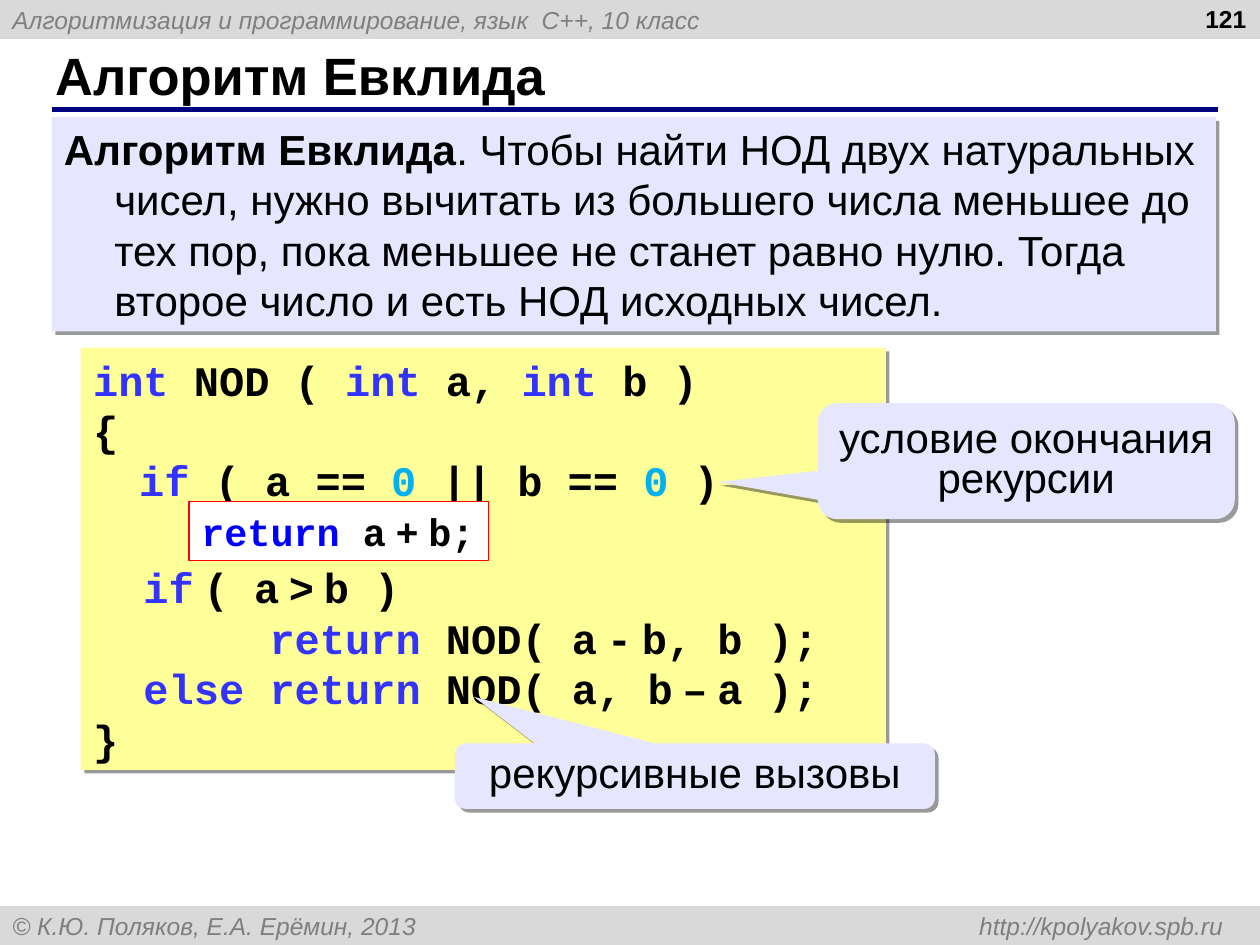
from lxml import etree
from pptx import Presentation, util as u
from pptx.dml.color import RGBColor
from pptx.enum import shapes, text
from pptx.oxml.ns import qn

THEME = dict(
    bar="D9D9D9", muted="7F7F7F", ink="000000", rule="000080",
    lilac="E6E6FF", yellow="FFFF99", white="FFFFFF", red="FF0000",
    keyword="3333FF", strong="0000FF", number="00B0F0",
    sans="Arial", mono="Courier New",
    small=14, inset=22, body=24, title=30, thin=20,
)
T = THEME
S, A, M = shapes.MSO_SHAPE, text.PP_ALIGN, text.MSO_ANCHOR

prs = Presentation()
prs.slide_width, prs.slide_height = u.Inches(10), u.Inches(7.5)
s = prs.slides.add_slide(prs.slide_layouts[6])
col, row = prs.slide_width / 100, prs.slide_height / 75  # grid of 100 x 75


def block(x, y, w, h, fill=None, kind=S.RECTANGLE, anchor=M.MIDDLE, shadow=False):
    """Box on the grid; without a fill it is a text box."""
    at = [int(v) for v in (x * col, y * row, w * col, h * row)]
    if fill:
        sp = s.shapes.add_shape(kind, *at)
        sp.shadow.inherit = False
        sp.fill.solid()
        sp.fill.fore_color.rgb = RGBColor.from_string(T[fill])
        sp.line.fill.background()
    else:
        sp = s.shapes.add_textbox(*at)
    if shadow:
        effects = sp._element.spPr.find(qn("a:effectLst"))
        outer = etree.SubElement(effects, qn("a:outerShdw"), blurRad="0",
                                 dist=str(u.Pt(3)), dir="2700000", algn="ctr", rotWithShape="0")
        black = etree.SubElement(outer, qn("a:srgbClr"), val=T["ink"])
        etree.SubElement(black, qn("a:alpha"), val="40000")
    tf = sp.text_frame
    tf.word_wrap, tf.vertical_anchor = True, anchor
    return sp


def write(p, parts, size, font="sans", align=A.LEFT, bold=False, italic=False):
    """Fill a paragraph from (text, colour) parts; ~ marks a narrow space."""
    p.alignment = align
    for words, color in parts:
        for i, piece in enumerate(words.split("~")):
            for chunk, narrow in ((" ", True),) * (i > 0) + ((piece, False),):
                if chunk:
                    r = p.add_run()
                    r.text = chunk
                    r.font.name = T["sans" if narrow else font]
                    r.font.size = u.Pt(T["thin" if narrow else size])
                    r.font.bold, r.font.italic = bold, italic
                    r.font.color.rgb = RGBColor.from_string(T[color])


# Header and footer bars
header = block(0, 0, 100, 3.1, "bar")
write(header.text_frame.paragraphs[0],
      [("Алгоритмизация и программирование, язык  C++, 10 класс", "muted")],
      "small", italic=True)
footer = block(0, 71.9, 100, 3.1, "bar")
p = footer.text_frame.paragraphs[0]
tabs = etree.SubElement(p._p.get_or_add_pPr(), qn("a:tabLst"))
etree.SubElement(tabs, qn("a:tab"), pos=str(int(96.1 * col)), algn="r")
write(p, [("© К.Ю. Поляков, Е.А. Ерёмин, 2013 \thttp://kpolyakov.spb.ru", "muted")],
      "small", italic=True)

# Title, rule and page number
rule = s.shapes.add_connector(shapes.MSO_CONNECTOR.STRAIGHT, int(4.1 * col), int(8.7 * row),
                              int(96.7 * col), int(8.7 * row))
rule.line.color.rgb = RGBColor.from_string(T["rule"])
rule.line.width = u.Pt(3)
etree.SubElement(rule._element.spPr, qn("a:effectLst"))
title = block(3.4, 3.3, 91.6, 5.2)
write(title.text_frame.paragraphs[0], [("Алгоритм Евклида", "ink")], "title", bold=True)
number = block(76.6, -0.2, 23.3, 5.2, anchor=M.TOP)
write(number.text_frame.paragraphs[0], [("121", "ink")], "small", align=A.RIGHT, bold=True)

# Definition with a hanging indent
definition = block(4.1, 9.3, 92.4, 17, "lilac", anchor=M.TOP, shadow=True)
p = definition.text_frame.paragraphs[0]
pPr = p._p.get_or_add_pPr()
pPr.set("marL", str(int(4 * col)))
pPr.set("indent", str(int(-4 * col)))
write(p, [("Алгоритм Евклида", "ink")], "body", bold=True)
write(p, [(". Чтобы найти НОД двух натуральных чисел, нужно вычитать из большего числа "
           "меньшее до тех пор, пока меньшее не станет равно нулю. Тогда второе число "
           "и есть НОД исходных чисел.", "ink")], "body")

# Code listing
code = [
    [("int", "keyword"), (" NOD ( ", "ink"), ("int", "keyword"), (" a, ", "ink"),
     ("int", "keyword"), (" b )", "ink")],
    [("{", "ink")],
    [("if", "keyword"), (" ( a == ", "ink"), ("0", "number"), (" || b == ", "ink"),
     ("0 ", "number"), (")", "ink")],
    [],
    [("  if~", "keyword"), ("( a~>~b )", "ink")],
    [("       ", "ink"), ("return", "keyword"), (" NOD( a~-~b, b );", "ink")],
    [("  else return", "keyword"), (" NOD( a, b~–~a );", "ink")],
    [("}", "ink")],
]
small_indent = {2: "  ", 3: "    "}  # leading spaces set in the smaller size
tf = block(6.4, 27.6, 63.9, 33.5, "yellow", shadow=True).text_frame
for i, parts in enumerate(code):
    p = tf.paragraphs[0] if i == 0 else tf.add_paragraph()
    if i == 4:
        p.space_before = u.Pt(6)
    write(p, [(small_indent.get(i, ""), "ink")], "inset", "mono", bold=True)
    write(p, parts, "body", "mono", bold=True)

# Framed return statement
base = block(15, 39.8, 23.8, 4.7, "white", anchor=M.TOP)
base.line.color.rgb = RGBColor.from_string(T["red"])
base.line.width = u.Pt(0.75)
base.text_frame.word_wrap = False
write(base.text_frame.paragraphs[0], [("return ", "strong"), ("a~+~b;", "ink")],
      "inset", "mono", bold=True)

# Callouts
for words, at, tip in (
    ("рекурсивные вызовы", (36.1, 59, 38.1, 5.2), (-0.46, -1.21)),
    ("условие окончания рекурсии", (64.9, 32, 33.1, 9.2), (-0.74, 0.18)),
):
    sp = block(*at, "lilac", S.ROUNDED_RECTANGULAR_CALLOUT, shadow=True)
    sp.adjustments[0], sp.adjustments[1] = tip
    p = sp.text_frame.paragraphs[0]
    p.line_spacing = 0.8
    write(p, [(words, "ink")], "body", align=A.CENTER)

prs.save("out.pptx")
